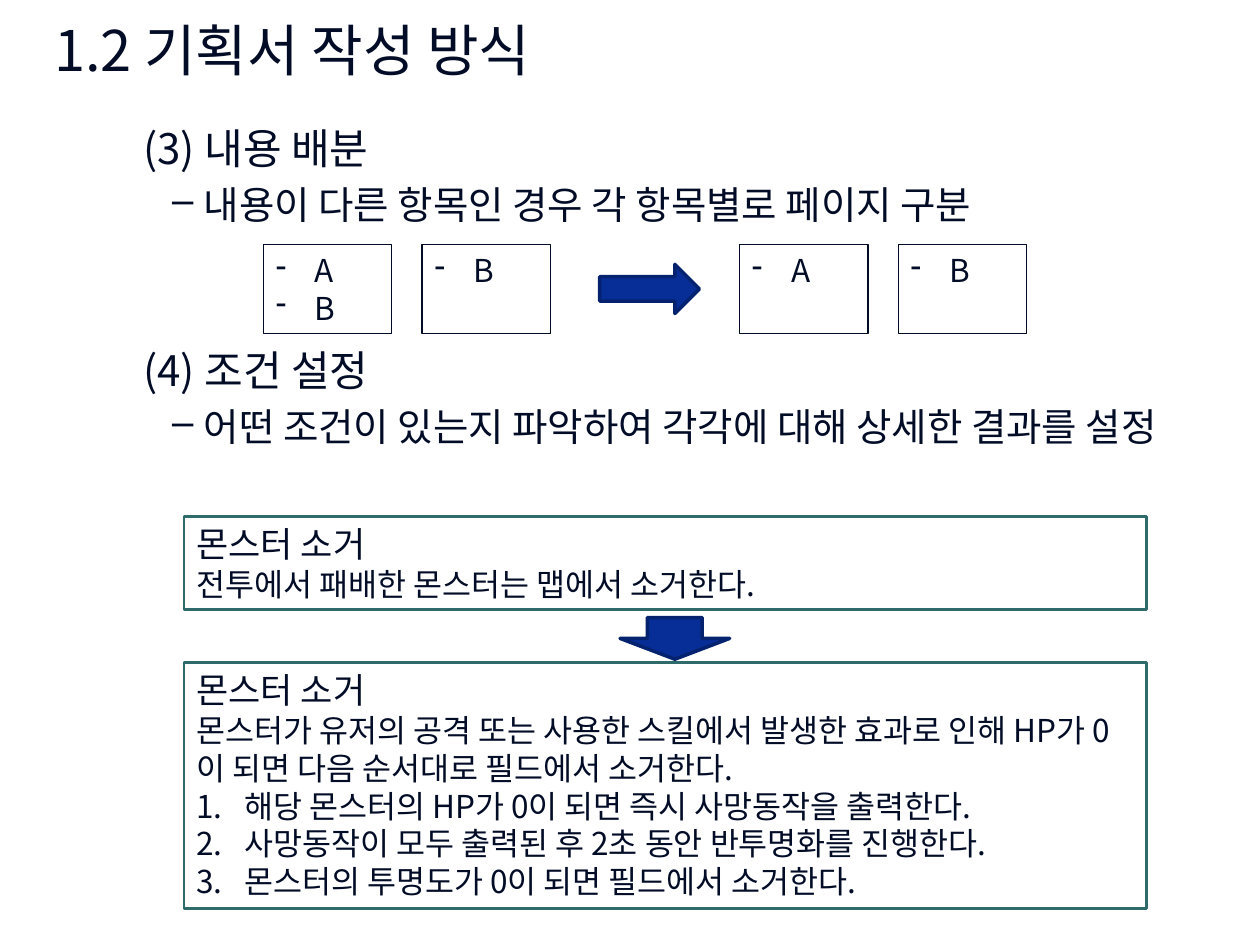
"""Build the slide on content splitting and condition setting in a design document."""
from lxml import etree
from pptx import Presentation
from pptx.dml.color import RGBColor
from pptx.enum.shapes import MSO_SHAPE
from pptx.enum.text import MSO_ANCHOR, PP_ALIGN
from pptx.oxml.ns import qn
from pptx.util import Cm, Pt

RECTANGLE = MSO_SHAPE.RECTANGLE
RIGHT_ARROW = MSO_SHAPE.RIGHT_ARROW
DOWN_ARROW = MSO_SHAPE.DOWN_ARROW
TOP, MIDDLE = MSO_ANCHOR.TOP, MSO_ANCHOR.MIDDLE
LEFT, JUSTIFY = PP_ALIGN.LEFT, PP_ALIGN.JUSTIFY
INK = RGBColor(0x02, 0x0C, 0x27)
TEAL = RGBColor(0x30, 0x6B, 0x6C)
BLUE = RGBColor(0x07, 0x2E, 0x96)
NAVY = RGBColor(0x05, 0x22, 0x6F)
FONT = "Noto Sans CJK KR"


def add_panel(kind, left, top, width, height, line=None, weight=0, fill=None):
    panel = slide.shapes.add_shape(kind, Cm(left), Cm(top), Cm(width), Cm(height))
    panel.shadow.inherit = False
    if fill is None:
        panel.fill.background()
    else:
        panel.fill.solid()
        panel.fill.fore_color.rgb = fill
    if line is None:
        panel.line.fill.background()
    else:
        panel.line.color.rgb = line
        panel.line.width = Pt(weight)
    return panel


def write(panel, rows, anchor=TOP, align=LEFT):
    frame = panel.text_frame
    frame.word_wrap = True
    frame.vertical_anchor = anchor
    for index, (text, size, margin, hanging, bullet, before) in enumerate(rows):
        paragraph = frame.add_paragraph() if index else frame.paragraphs[0]
        paragraph.alignment = align
        paragraph.space_before = Pt(before)
        properties = paragraph._p.get_or_add_pPr()
        properties.set("marL", str(Cm(margin)))
        properties.set("indent", str(-Cm(hanging)))
        if bullet == "1.":
            etree.SubElement(properties, qn("a:buAutoNum"), type="arabicPeriod")
        elif bullet:
            etree.SubElement(properties, qn("a:buChar"), char=bullet)
        run = paragraph.add_run()
        run.text = text
        run.font.size = Pt(size)
        run.font.name = FONT
        run.font.color.rgb = INK
        etree.SubElement(run._r.get_or_add_rPr(), qn("a:ea"), typeface=FONT)


presentation = Presentation()
presentation.slide_width = Cm(25.4)
presentation.slide_height = Cm(19.05)
slide = presentation.slides.add_slide(presentation.slide_layouts[6])

title = slide.shapes.add_textbox(Cm(0.84), Cm(0), Cm(22.86), Cm(1.98))
write(title, [("1.2 기획서 작성 방식", 32, 0, 0, None, 0)], MIDDLE)

outline = slide.shapes.add_textbox(Cm(1.27), Cm(2.34), Cm(22.86), Cm(15.19))
write(outline, [
    ("(3) 내용 배분", 24, 1.37, 0, None, 0),
    ("내용이 다른 항목인 경우 각 항목별로 페이지 구분", 22, 2.59, 0.64, "–", 4.8),
    ("(4) 조건 설정", 24, 1.37, 0, None, 67),
    ("어떤 조건이 있는지 파악하여 각각에 대해 상세한 결과를 설정", 22, 2.59, 0.64, "–", 4.8),
], align=JUSTIFY)

for column, items in ((0, "AB"), (1, "B"), (3, "A"), (4, "B")):
    page = add_panel(RECTANGLE, 5.31 + 3.2 * column, 4.93, 2.59, 1.8, INK, 0.75)
    write(page, [(item, 18, 0.79, 0.79, "-", 0) for item in items])

add_panel(RIGHT_ARROW, 12.09, 5.33, 2.01, 0.99, NAVY, 2, BLUE)

brief = [
    ("몬스터 소거", 20, 0, 0, None, 0),
    ("전투에서 패배한 몬스터는 맵에서 소거한다.", 18, 0, 0, None, 0),
]
steps = [
    "해당 몬스터의 HP가 0이 되면 즉시 사망동작을 출력한다.",
    "사망동작이 모두 출력된 후 2초 동안 반투명화를 진행한다.",
    "몬스터의 투명도가 0이 되면 필드에서 소거한다.",
]
detailed = [
    brief[0],
    ("몬스터가 유저의 공격 또는 사용한 스킬에서 발생한 효과로 인해 HP가 0이 되면 "
     "다음 순서대로 필드에서 소거한다.", 18, 0, 0, None, 0),
] + [(step, 18, 0.97, 0.97, "1.", 0) for step in steps]

for top, height, rows in ((10.41, 1.88, brief), (13.36, 4.95, detailed)):
    write(add_panel(RECTANGLE, 3.71, top, 19.41, height, TEAL, 1.5), rows)

add_panel(DOWN_ARROW, 12.5, 12.45, 2.21, 0.84, NAVY, 2, BLUE)

presentation.save("out.pptx")
